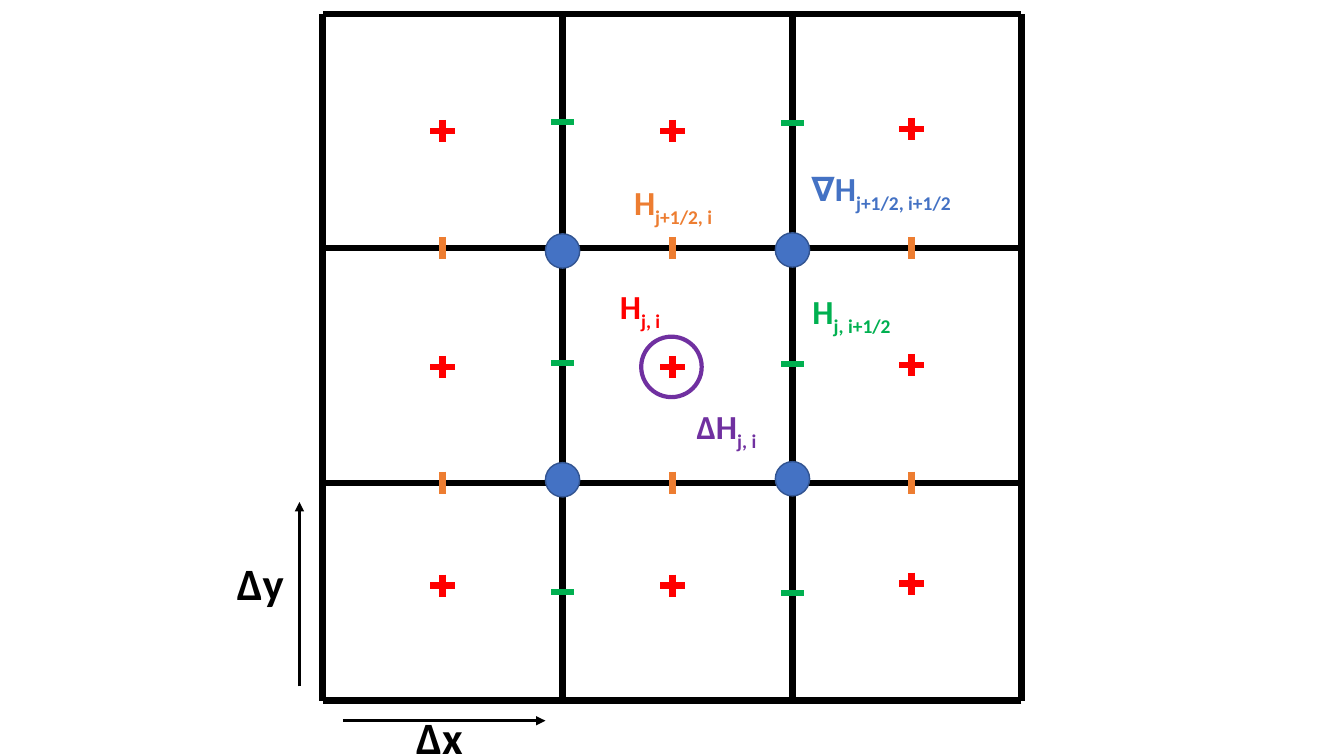
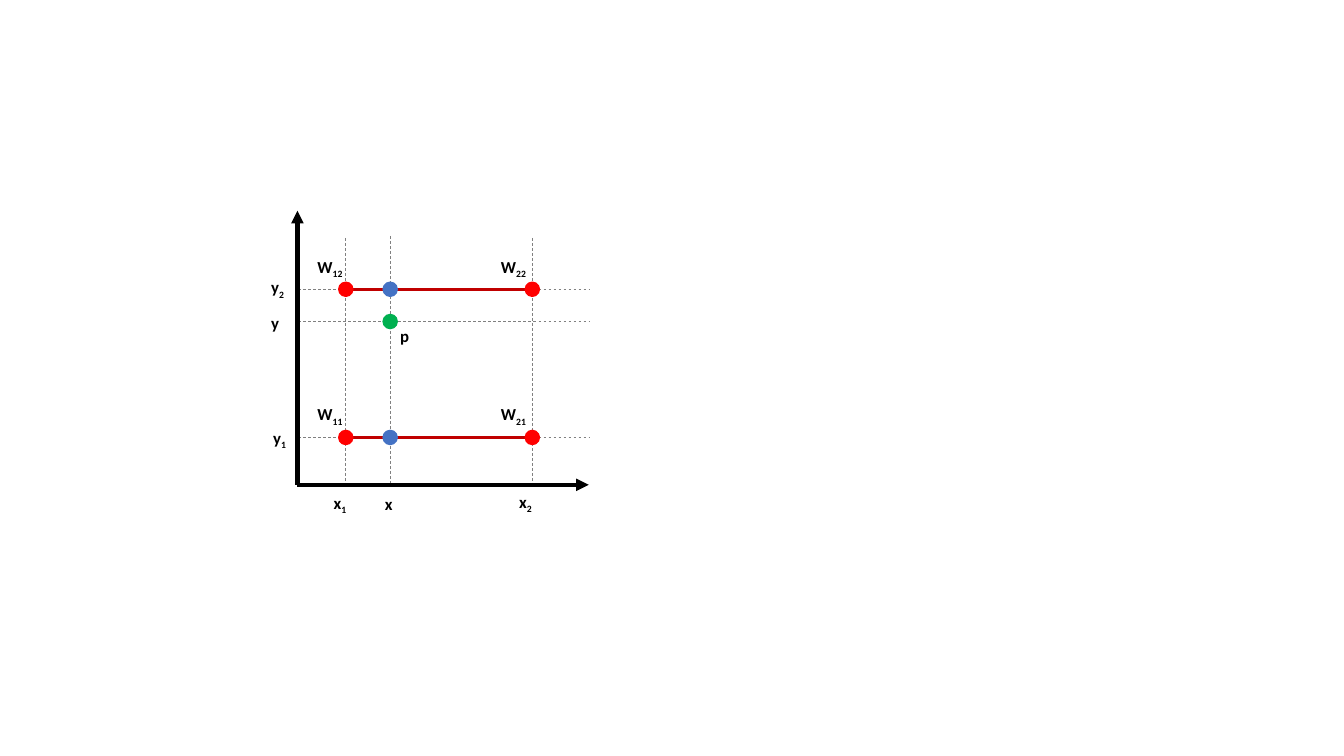
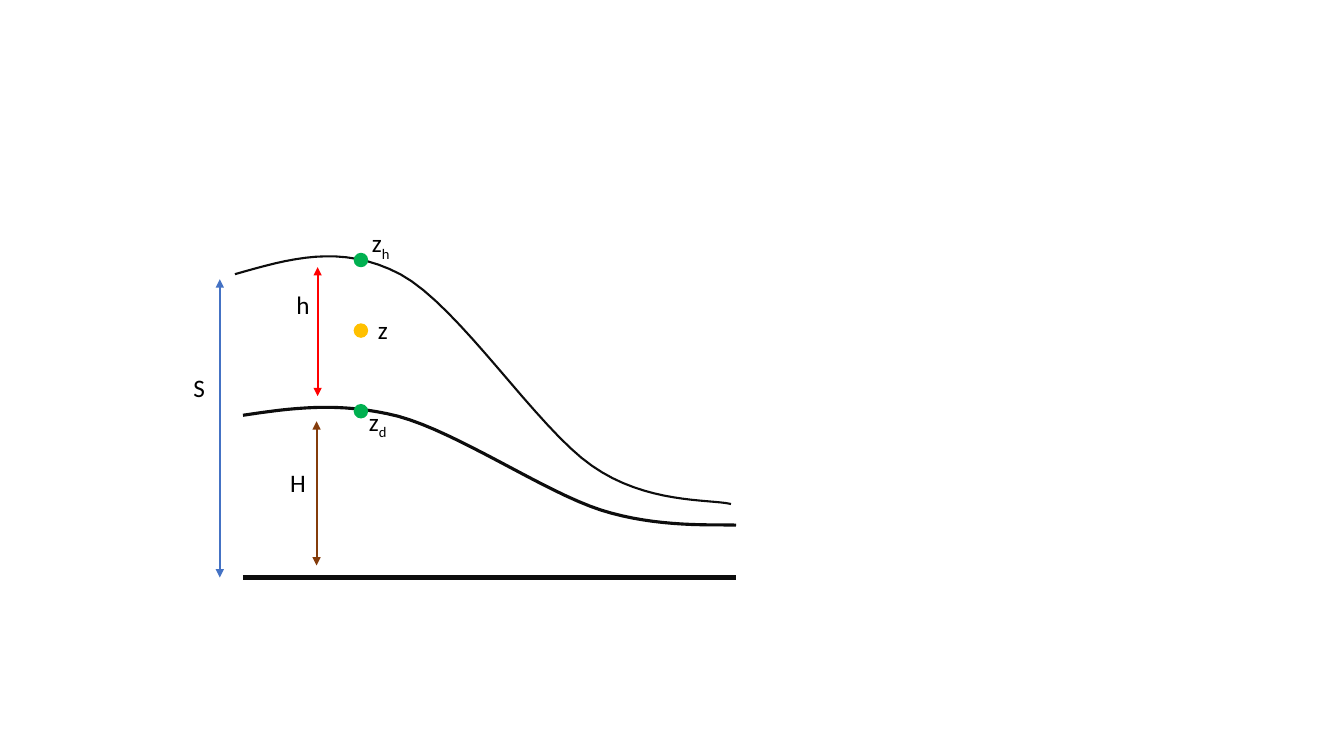
import pptx
import pptx.util
import pptx.dml.color
import pptx.enum.dml
import pptx.enum.shapes
import pptx.enum.text
import pptx.oxml.ns
import lxml.etree

Inches = pptx.util.Inches
FONT = "Calibri"
HUES = {
    "black": "000000", "ink": "0D0D0D", "gray": "808080",
    "red": "FF0000", "dark": "C00000", "green": "00B050",
    "blue": "4472C4", "navy": "325491", "orange": "ED7D31",
    "violet": "7030A0", "brown": "843C0B", "gold": "FFC000",
}


def hue(name):
    return pptx.dml.color.RGBColor.from_string(HUES[name])


class Deck:
    """Holds the style, the current slide and the place to draw on it."""

    def __init__(self):
        self.prs = pptx.Presentation()
        self.prs.slide_width = Inches(13.33)
        self.prs.slide_height = Inches(7.5)

    def page(self):
        slide = self.prs.slides.add_slide(self.prs.slide_layouts[6])
        self.area = self.base = slide.shapes

    def group(self):
        self.area = self.base.add_group_shape().shapes

    def leave(self):
        self.area = self.base

    def pen(self, line, color, width):
        line.color.rgb = hue(color)
        line.width = pptx.util.Pt(width)

    def line(self, x1, y1, x2, y2, color="black", width=4.5, dash=False, ends=()):
        link = self.area.add_connector(
            pptx.enum.shapes.MSO_CONNECTOR.STRAIGHT,
            Inches(x1), Inches(y1), Inches(x2), Inches(y2))
        self.pen(link.line, color, width)
        if dash:
            link.line.dash_style = pptx.enum.dml.MSO_LINE.DASH
        props = link._element.spPr
        for end in ends:
            tip = pptx.oxml.ns.qn(f"a:{end}End")
            lxml.etree.SubElement(props.get_or_add_ln(), tip, type="triangle")
        lxml.etree.SubElement(props, pptx.oxml.ns.qn("a:effectLst"))

    def dot(self, x, y, size, fill, edge=None, width=1):
        """Draw a circle around the centre x, y."""
        ball = self.area.add_shape(
            pptx.enum.shapes.MSO_SHAPE.OVAL, Inches(x - size / 2),
            Inches(y - size / 2), Inches(size), Inches(size))
        ball.shadow.inherit = False
        if fill:
            ball.fill.solid()
            ball.fill.fore_color.rgb = hue(fill)
        else:
            ball.fill.background()
        self.pen(ball.line, edge or fill, width)

    def text(self, x, y, wide, high, label, size, color="black", bold=True):
        """Write a label; what follows "_" is set as a subscript."""
        box = self.area.add_textbox(Inches(x), Inches(y), Inches(wide), Inches(high))
        frame = box.text_frame
        frame.word_wrap = True
        frame.auto_size = pptx.enum.text.MSO_AUTO_SIZE.SHAPE_TO_FIT_TEXT
        main, _, sub = label.partition("_")
        para = frame.paragraphs[0]
        para.text = main
        if sub:
            run = para.add_run()
            run.text = sub
            run.font._element.set("baseline", "-25000")
        for run in para.runs:
            run.font.name = FONT
            run.font.size = pptx.util.Pt(size)
            run.font.bold = bold
            run.font.color.rgb = hue(color)

    def curve(self, start, bends, color, width, steps=16):
        """Draw a chain of cubic Bezier bends through fine segments."""
        spots = []
        last = start
        for bend in bends:
            knots = (last, *bend)
            for step in range(1, steps + 1):
                t = step / steps
                parts = ((1 - t) ** 3, 3 * t * (1 - t) ** 2, 3 * t * t * (1 - t), t ** 3)
                spots.append(tuple(
                    Inches(sum(p * k[axis] for p, k in zip(parts, knots)))
                    for axis in (0, 1)))
            last = bend[-1]
        form = self.area.build_freeform(Inches(start[0]), Inches(start[1]))
        form.add_line_segments(spots, close=False)
        shape = form.convert_to_shape()
        shape.shadow.inherit = False
        shape.fill.background()
        self.pen(shape.line, color, width)


deck = Deck()

# Slide 1: staggered grid
deck.page()
deck.group()
deck.dot(6.66, 3.64, 0.6, None, "violet", 3)
walls = (3.2, 5.58, 7.86, 10.13)
floors = (0.14, 2.46, 4.79, 6.95)
for x in walls:
    deck.line(x, floors[0], x, floors[-1])
for y in floors:
    deck.line(walls[-1], y, walls[0], y)

# Cell centres and edge marks
ARM = 0.11
for x, lift in ((4.39, 0), (6.67, 0), (9.04, 0.02)):
    for y in (1.3, 3.64, 5.81):
        deck.line(x, y - lift - ARM, x, y - lift + ARM, "red")
        deck.line(x - 0.12, y - lift, x + 0.12, y - lift, "red")
    for y in floors[1:3]:
        deck.line(x, y - ARM, x, y + ARM, "orange")
for x, drop in zip(walls[1:3], (0, 0.01)):
    for y in (1.21, 3.6, 5.87):
        deck.line(x - ARM, y + drop, x + ARM, y + drop, "green")
    for y in (2.49, 4.76):
        deck.dot(x, y - drop, 0.34, "blue", "navy")

# Grid labels
for x, y, wide, label, color in (
        (6.05, 2.79, 0.75, "H_j, i", "red"),
        (6.19, 1.76, 1.09, "H_j+1/2, i", "orange"),
        (7.96, 2.84, 1.09, "H_j, i+1/2", "green"),
        (7.95, 1.62, 1.75, "\u2207H_j+1/2, i+1/2", "blue"),
        (6.81, 3.98, 1.75, "\u2206H_j, i", "violet")):
    deck.text(x, y, wide, 0.5, label, 24, color)
deck.leave()

# Cell size
deck.line(2.97, 6.81, 2.97, 4.98, width=2.25, ends=["tail"])
deck.line(3.4, 7.15, 5.41, 7.15, width=2.25, ends=["tail"])
deck.text(2.25, 5.46, 0.71, 0.64, "\u2206y", 32)
deck.text(4.03, 6.99, 0.71, 0.64, "\u2206x", 32)

# Slide 2: bilinear interpolation
deck.page()
left, mid, right = 3.43, 3.87, 5.28
high, level, low = 2.87, 3.19, 4.34
for y in (level, high, low):
    deck.line(2.96, y, 5.84, y, "gray", 0.5, dash=True)
for x, top in ((left, 2.36), (mid, 2.34), (right, 2.36)):
    deck.line(x, top, x, top + 2.45, "gray", 0.5, dash=True)
for x, y in ((2.95, 2.09), (5.84, 4.81)):
    deck.line(2.95, 4.81, x, y, width=3, ends=["tail"])
for y in (low, high):
    deck.line(left, y, right, y, "dark", 2.25)
    for x, color in ((left, "red"), (right, "red"), (mid, "blue")):
        deck.dot(x, y, 0.14, color)
deck.dot(mid, level, 0.14, "green")

# Point and axis labels
for x, y, label in (
        (3.05, 2.5, "W_12"), (3.05, 3.96, "W_11"),
        (4.87, 3.96, "W_21"), (4.87, 2.5, "W_22"),
        (2.59, 2.7, "y_2"), (2.61, 4.19, "y_1"), (2.59, 3.05, "y"),
        (3.21, 4.84, "x_1"), (5.05, 4.83, "x_2"), (3.72, 4.85, "x"),
        (3.87, 3.18, "p")):
    deck.text(x, y, 0.56 if label[0] == "W" else 0.44, 0.3, label, 12)

# Slide 3: surface, bed and base
deck.page()
deck.line(2.41, 5.73, 7.3, 5.73, "ink", 3)
deck.curve((2.41, 4.12), (
    ((2.88, 4.05), (3.36, 3.98), (3.95, 4.13)),
    ((4.54, 4.29), (5.4, 4.88), (5.96, 5.06)),
    ((6.52, 5.24), (7.1, 5.2), (7.3, 5.21))), "ink", 2.25)
deck.curve((2.33, 2.72), (
    ((2.86, 2.57), (3.38, 2.41), (3.97, 2.72)),
    ((4.56, 3.04), (5.32, 4.24), (5.87, 4.62)),
    ((6.41, 5), (7.03, 4.95), (7.25, 5))), "ink", 1.5)

# Heights
for x, top, foot, color in (
        (3.14, 4.18, 5.61, "brown"), (3.15, 2.65, 3.93, "red"),
        (2.18, 2.77, 5.73, "blue")):
    deck.line(x, top, x, foot, color, 1.5, ends=["head", "tail"])
for y, color in ((2.58, "green"), (4.08, "green"), (3.28, "gold")):
    deck.dot(3.58, y, 0.13, color)
for x, y, label in (
        (3.65, 3.07, "z"), (3.56, 3.98, "z_d"), (3.59, 2.21, "z_h"),
        (2.84, 2.82, "h"), (2.78, 4.59, "H"), (1.82, 3.64, "S")):
    deck.text(x, y, 0.51 if "_" in label else 0.32, 0.4, label, 18, bold=False)

deck.prs.save("out.pptx")
